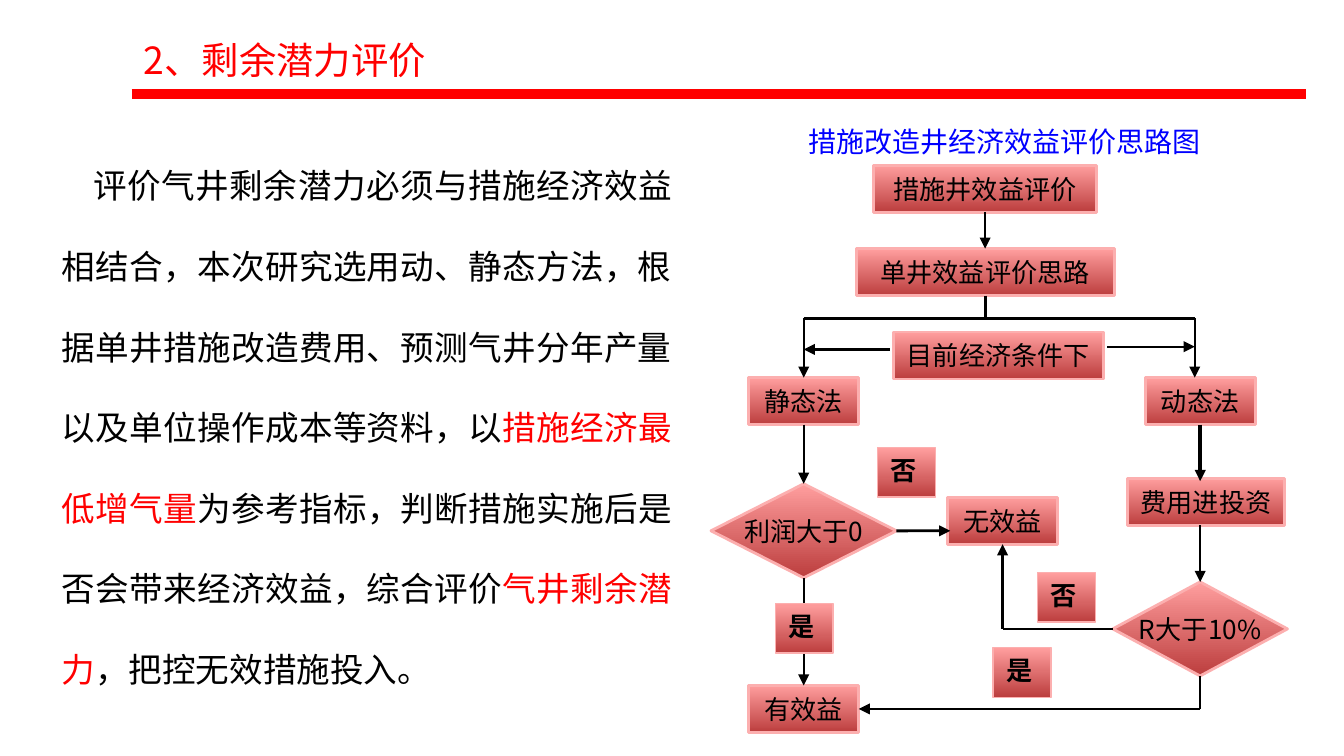
from dataclasses import dataclass

from pptx import Presentation
from pptx.dml.color import RGBColor
from pptx.enum.shapes import MSO_CONNECTOR as Connector, MSO_SHAPE as Shape
from pptx.enum.text import MSO_ANCHOR as Anchor, MSO_AUTO_SIZE as AutoSize, PP_ALIGN as Align
from pptx.oxml.ns import qn
from pptx.util import Inches, Pt


@dataclass(frozen=True)
class Theme:
    font: str = "Noto Sans CJK SC"
    caption_font: str = "Noto Sans CJK JP"
    black: str = "000000"
    red: str = "FF0000"
    blue: str = "0000FF"
    box_top: str = "FF9E9E"
    box_bottom: str = "BC3E3E"
    box_edge: str = "FCAFAF"
    title_size: float = 20
    body_size: float = 18
    caption_size: float = 15
    node_size: float = 14
    rule_width: float = 5.25
    line_width: float = 1.25


THEME = Theme()
TOP, LEFT, BOTTOM, RIGHT = range(4)


def apply_format(target, values):
    for name, value in values.items():
        setattr(target, name, value)


def add_run(paragraph, text, size, color=THEME.black, font=THEME.font, bold=False):
    run = paragraph.add_run()
    run.text = text
    apply_format(run.font, {"size": Pt(size), "name": font, "bold": bold})
    run.font.color.rgb = RGBColor.from_string(color)
    east_asian = run.font._element.makeelement(qn("a:ea"), {"typeface": font})
    run.font._element.find(qn("a:latin")).addnext(east_asian)


def add_text(slide, box, runs, paragraph_format, frame_format=None):
    shape = slide.shapes.add_textbox(*map(Inches, box))
    frame = shape.text_frame
    apply_format(frame, {"word_wrap": True, **(frame_format or {})})
    paragraph = frame.paragraphs[0]
    apply_format(paragraph, paragraph_format)
    for run in runs:
        add_run(paragraph, **run)
    return paragraph


def add_line(slide, origin, start, end, color=THEME.black, width=THEME.line_width, arrow=False):
    """Each end is an (x, y) offset from origin, or a (shape, side) pair."""
    def is_joined(place):
        return not isinstance(place[0], (int, float))

    def position(place):
        if is_joined(place):
            return 0, 0
        return [Inches(base + offset) for base, offset in zip(origin, place)]

    line = slide.shapes.add_connector(Connector.STRAIGHT, *position(start), *position(end))
    if is_joined(start):
        line.begin_connect(*start)
    if is_joined(end):
        line.end_connect(*end)
    line.line.color.rgb = RGBColor.from_string(color)
    line.line.width = Pt(width)
    if arrow:
        outline = line.line._get_or_add_ln()
        outline.append(outline.makeelement(qn("a:tailEnd"), {"type": "triangle"}))
    properties = line._element.spPr
    properties.append(properties.makeelement(qn("a:effectLst"), {}))


def add_node(slide, origin, box, text, kind=Shape.RECTANGLE, label=False):
    left, top, width, height = box
    shape = slide.shapes.add_shape(
        kind, *map(Inches, (origin[0] + left, origin[1] + top, width, height)))
    shape.shadow.inherit = False
    shape.fill.gradient()
    shape.fill.gradient_angle = 270
    for stop, color in zip(shape.fill.gradient_stops, (THEME.box_top, THEME.box_bottom)):
        stop.color.rgb = RGBColor.from_string(color)
    shape.line.color.rgb = RGBColor.from_string(THEME.box_edge)
    shape.line.width = Pt(0.75 if label else 1.5)
    frame = shape.text_frame
    apply_format(frame, {
        "word_wrap": False,
        "vertical_anchor": Anchor.TOP if label else Anchor.MIDDLE,
        "auto_size": AutoSize.SHAPE_TO_FIT_TEXT if label else AutoSize.NONE,
    })
    paragraph = frame.paragraphs[0]
    paragraph.alignment = Align.LEFT if label else Align.CENTER
    add_run(paragraph, text, THEME.node_size, bold=label)
    return shape


def add_heading(slide, left, top, width, height):
    add_line(slide, (left, top), (0.01, 0.64), (8.75, 0.64), THEME.red, THEME.rule_width)
    add_text(slide, (left, top, width, height),
             [{"text": "2、剩余潜力评价", "size": THEME.title_size, "color": THEME.red}],
             {"alignment": Align.JUSTIFY, "line_spacing": 1.5})


def add_body(slide, left, top, width, height):
    parts = [
        ("评价气井剩余潜力必须与措施经济效益相结合，本次研究选用动、静态方法，"
         "根据单井措施改造费用、预测气井分年产量以及单位操作成本等资料，以", THEME.black),
        ("措施经济最低增气量", THEME.red),
        ("为参考指标，判断措施实施后是否会带来经济效益，综合评价", THEME.black),
        ("气井剩余潜力", THEME.red),
        ("，把控无效措施投入。", THEME.black),
    ]
    runs = [{"text": text, "size": THEME.body_size, "color": color} for text, color in parts]
    paragraph = add_text(slide, (left, top, width, height), runs,
                         {"alignment": Align.JUSTIFY, "line_spacing": 2.0})
    paragraph._p.get_or_add_pPr().set("indent", str(Inches(0.24)))


def add_flowchart(slide, left, top, width, caption_height):
    origin = (left, top)
    add_text(slide, (left, top, width, caption_height),
             [{"text": "措施改造井经济效益评价思路图", "size": THEME.caption_size,
               "color": THEME.blue, "font": THEME.caption_font}],
             {"alignment": Align.CENTER}, {"margin_left": 0, "margin_right": 0})

    # Steps: left, top, width, text
    step_height = 0.35
    steps = {
        "start": (1.2, 0.35, 1.66, "措施井效益评价"),
        "idea": (1.07, 0.97, 1.92, "单井效益评价思路"),
        "condition": (1.35, 1.59, 1.56, "目前经济条件下"),
        "static": (0.27, 1.93, 0.82, "静态法"),
        "dynamic": (3.22, 1.93, 0.82, "动态法"),
        "cost": (3.09, 2.68, 1.17, "费用进投资"),
        "no_benefit": (1.75, 2.82, 0.82, "无效益"),
        "benefit": (0.27, 4.22, 0.82, "有效益"),
    }
    nodes = {name: add_node(slide, origin, (x, y, w, step_height), text)
             for name, (x, y, w, text) in steps.items()}

    # Decisions
    decisions = {
        "profit": (-0.01, 2.72, 1.38, "利润大于0"),
        "rate": (2.98, 3.45, 1.3, "R大于10%"),
    }
    for name, (x, y, w, text) in decisions.items():
        nodes[name] = add_node(slide, origin, (x, y, w, 0.7), text, Shape.DIAMOND)

    # Plain lines: start, end, width
    branch_y, static_x, dynamic_x = 1.49, 0.68, 3.59
    rate_x, rate_y, no_benefit_x = 3.63, 3.8, 2.16
    benefit_y = steps["benefit"][1] + step_height / 2
    for start, end, line_width in (
        ((static_x, branch_y), (dynamic_x, branch_y), 1.25),
        ((nodes["idea"], BOTTOM), (2.03, branch_y), 1.75),
        ((no_benefit_x, rate_y), (nodes["rate"], LEFT), 1.25),
        ((nodes["rate"], BOTTOM), (rate_x, benefit_y), 1.25),
    ):
        add_line(slide, origin, start, end, width=line_width)

    # Arrows: start, end, width
    for start, end, line_width in (
        ((nodes["start"], BOTTOM), (nodes["idea"], TOP), 1.25),
        ((static_x, branch_y), (nodes["static"], TOP), 1.25),
        ((dynamic_x, branch_y), (dynamic_x, 1.93), 1.25),
        ((1.32, 1.72), (static_x, 1.72), 1.25),
        ((2.94, 1.7), (dynamic_x, 1.7), 1.25),
        ((nodes["static"], BOTTOM), (nodes["profit"], TOP), 1.25),
        ((nodes["profit"], RIGHT), (1.77, 3.07), 1.5),
        ((nodes["profit"], BOTTOM), (nodes["benefit"], TOP), 1.25),
        ((nodes["dynamic"], BOTTOM), (rate_x, 2.7), 2),
        ((rate_x, 3.03), (nodes["rate"], TOP), 1.25),
        ((no_benefit_x, rate_y), (nodes["no_benefit"], BOTTOM), 1.25),
        ((rate_x, benefit_y), (nodes["benefit"], RIGHT), 1.25),
    ):
        add_line(slide, origin, start, end, width=line_width, arrow=True)

    # Yes and no labels
    for x, y, text in ((0.47, 3.61, "是"), (1.23, 2.45, "否"),
                       (2.09, 3.94, "是"), (2.42, 3.38, "否")):
        add_node(slide, origin, (x, y, 0.43, 0.37), text, label=True)


def main():
    presentation = Presentation()
    width = Inches(10)
    apply_format(presentation, {"slide_width": width, "slide_height": width * 9 // 16})
    slide = presentation.slides.add_slide(presentation.slide_layouts[6])
    add_heading(slide, 0.97, 0.06, 5.24, 0.6)
    add_body(slide, 0.36, 0.88, 4.74, 4.34)
    add_flowchart(slide, 5.3, 0.88, 4.35, 0.35)
    presentation.save("out.pptx")


if __name__ == "__main__":
    main()
